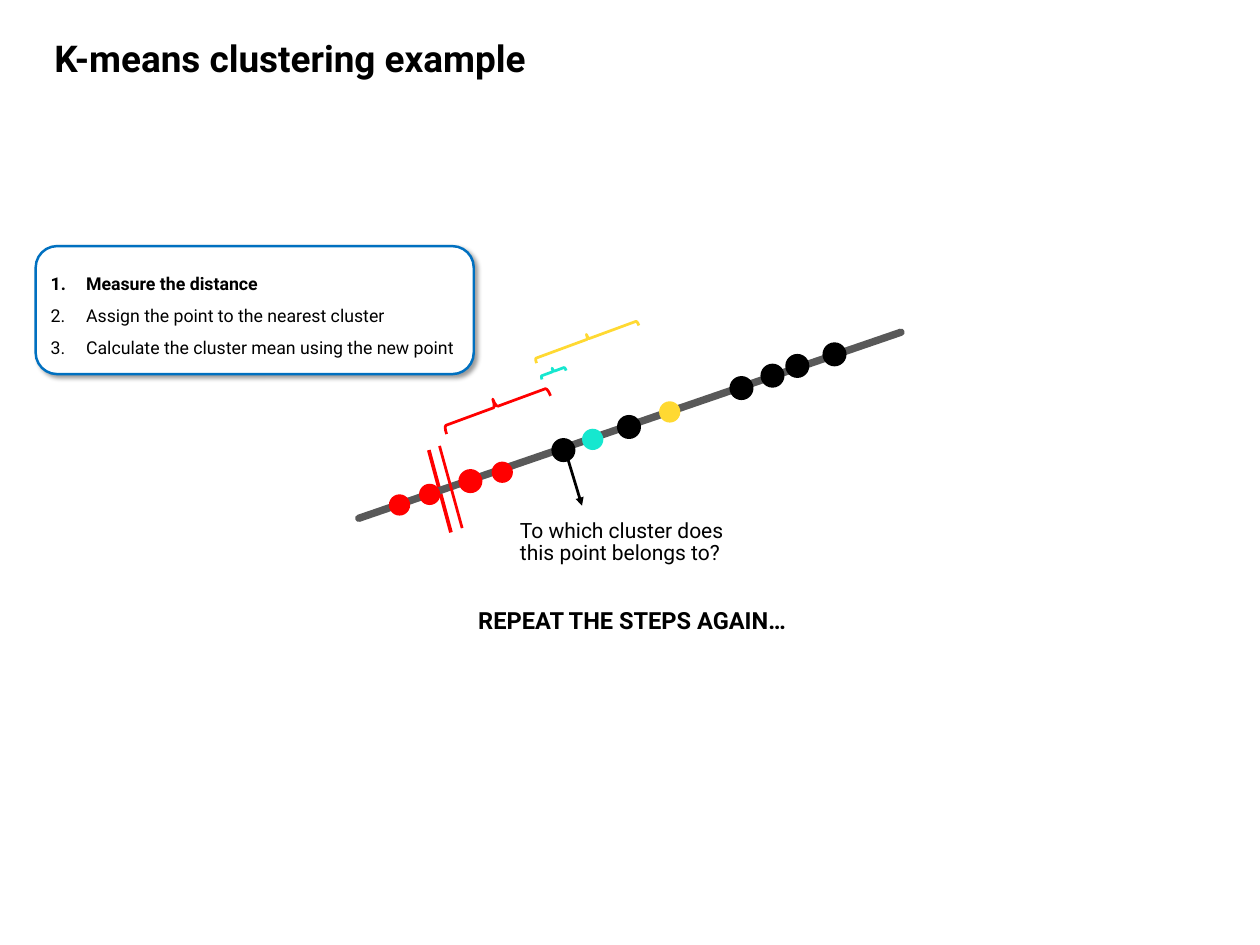
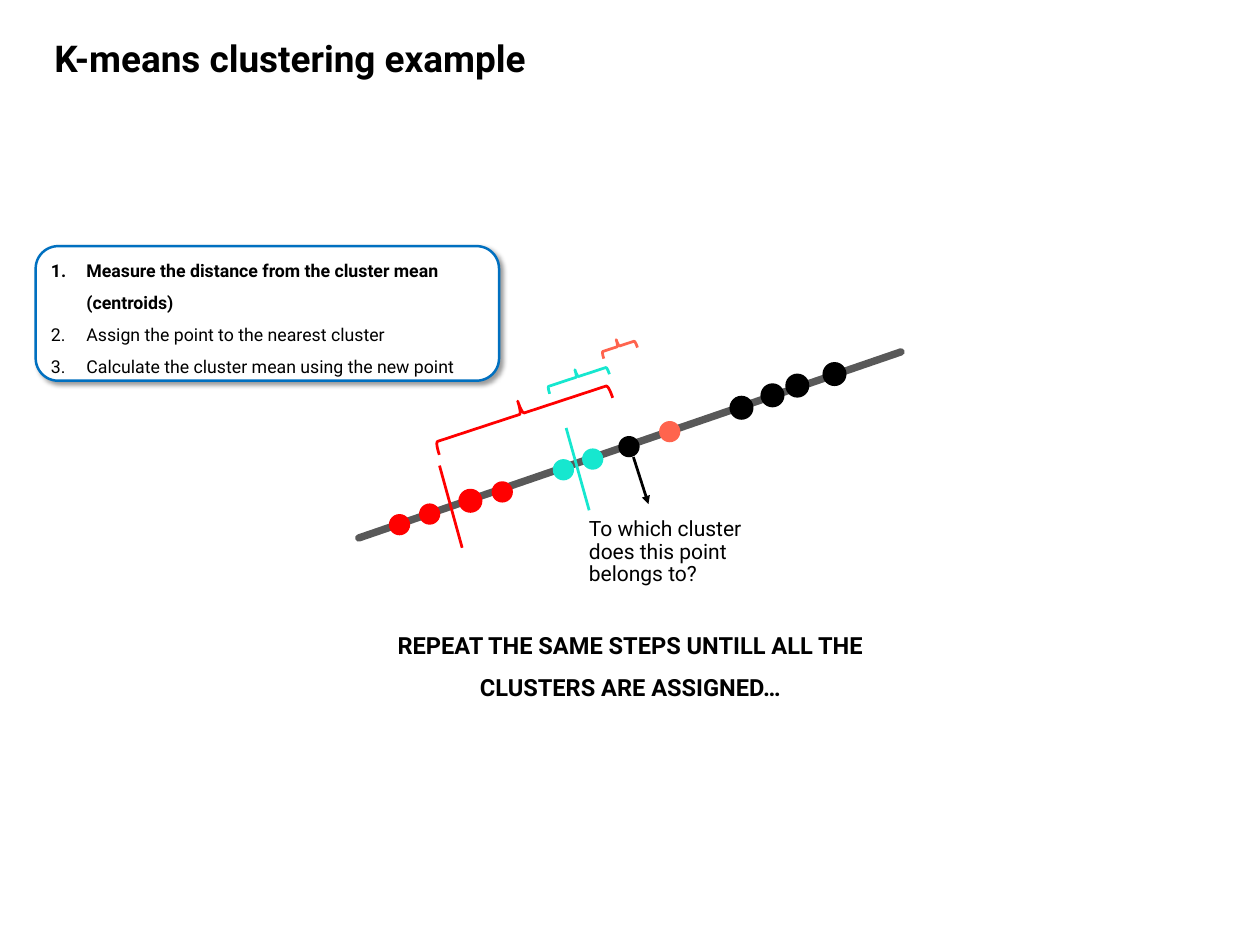
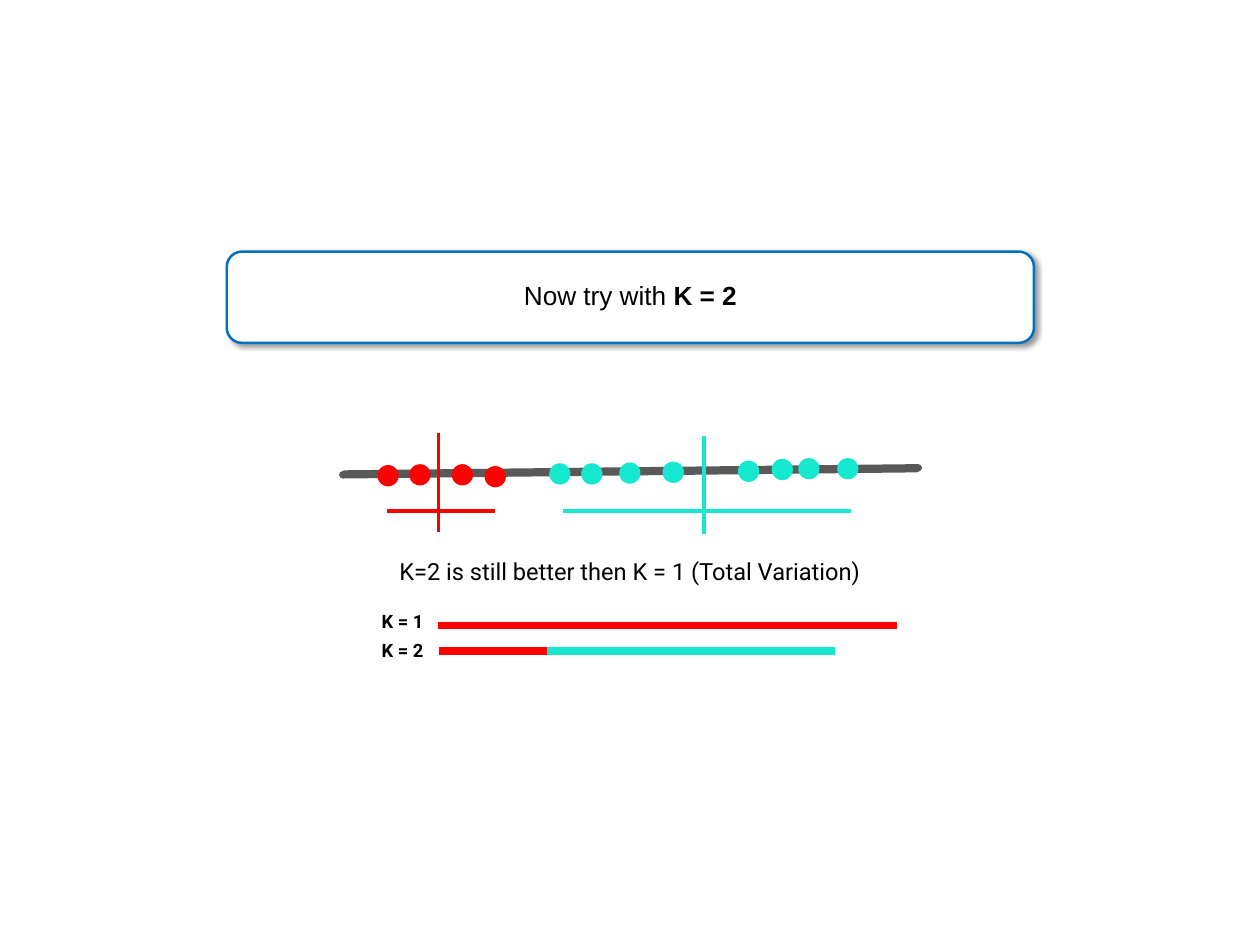
from lxml import etree
from pptx import Presentation
from pptx.dml.color import RGBColor
from pptx.enum import shapes as kinds, text as txt
from pptx.oxml.ns import qn
from pptx.util import Pt

BLACK, WHITE, GREY, BLUE = "000000", "FFFFFF", "595959", "0070C0"
RED, TEAL, YELLOW, CORAL = "FF0000", "16E7CF", "FFD932", "FF644E"
FONT = "Roboto"
DOT_SIZE = 17.28
THIN, THICK, BAR = 2.25, 3, 6
TITLE = "K-means clustering example"
QUESTION = "To which cluster does this point belongs to?"
POINTS = [
    (324.7, 410.4), (349.2, 401.8), (382.3, 391), (408.2, 383.8),
    (457.9, 365.8), (481.7, 357.1), (511.2, 347), (544.3, 334.8),
    (602.6, 315.4), (627.8, 305.3), (648, 297.4), (678.2, 288),
]
FLAT_POINTS = [
    (315.4, 386.6), (341.3, 385.9), (375.8, 385.9), (402.5, 387.4),
    (455, 385.2), (481, 385.2), (511.9, 384.5), (547.2, 383.8),
    (608.4, 383), (635.8, 381.6), (657.4, 380.9), (689, 380.9),
]


def color(hex_code):
    return RGBColor.from_string(hex_code)


def add_xml(parent, tag, **attributes):
    return etree.SubElement(parent, qn(tag), attributes)


def paint_line(line, hex_code, width):
    line.color.rgb = color(hex_code)
    line.width = Pt(width)


def write(frame, paragraphs, size, font=FONT, align=txt.PP_ALIGN.LEFT,
          spacing=0.9, anchor=txt.MSO_ANCHOR.TOP, numbered=False):
    frame.word_wrap = True
    frame.vertical_anchor = anchor
    for index, pieces in enumerate(paragraphs):
        paragraph = frame.add_paragraph() if index else frame.paragraphs[0]
        paragraph.alignment = align
        paragraph.line_spacing = spacing
        paragraph.space_before = Pt(0)
        if numbered:
            properties = paragraph._p.get_or_add_pPr()
            properties.set("marL", str(Pt(28.8)))
            properties.set("indent", str(-Pt(28.8)))
            add_xml(properties, "a:buFont", typeface="+mj-lt")
            add_xml(properties, "a:buAutoNum", type="arabicPeriod")
        for words, bold in pieces:
            run = paragraph.add_run()
            run.text = words
            run.font.name = font
            run.font.size = Pt(size)
            run.font.bold = bold
            run.font.color.rgb = color(BLACK)


def add_label(slide, words, left, top, width, height, size, bold=False, **style):
    label = slide.shapes.add_textbox(Pt(left), Pt(top), Pt(width), Pt(height))
    write(label.text_frame, [[(words, bold)]], size, **style)


def add_title(slide):
    title = slide.shapes.title
    title.left, title.top, title.width, title.height = Pt(37), Pt(29.5), Pt(528), Pt(40)
    write(title.text_frame, [[(TITLE, True)]], 30)


def add_card(slide, left, top, width, height, paragraphs, size, **style):
    card = slide.shapes.add_shape(kinds.MSO_SHAPE.ROUNDED_RECTANGLE,
                                  Pt(left), Pt(top), Pt(width), Pt(height))
    card.fill.solid()
    card.fill.fore_color.rgb = color(WHITE)
    paint_line(card.line, BLUE, 2)
    card.shadow.inherit = False
    effects = card._element.spPr.find(qn("a:effectLst"))
    shadow = add_xml(effects, "a:outerShdw", blurRad=str(Pt(4)), dist=str(Pt(3)),
                     dir="2700000", algn="tl", rotWithShape="0")
    add_xml(add_xml(shadow, "a:srgbClr", val=BLACK), "a:alpha", val="40000")
    write(card.text_frame, paragraphs, size, anchor=txt.MSO_ANCHOR.MIDDLE, **style)


def add_steps(slide, width, height, first_step):
    steps = [first_step, "Assign the point to the nearest cluster",
             "Calculate the cluster mean using the new point"]
    add_card(slide, 29, 200, width, height,
             [[(step, step == first_step)] for step in steps],
             14.4, spacing=1.5, numbered=True)


def add_line(slide, start, end, hex_code, width, arrow=False, rounded=False):
    line = slide.shapes.add_connector(kinds.MSO_CONNECTOR.STRAIGHT,
                                      *(Pt(value) for value in (*start, *end)))
    paint_line(line.line, hex_code, width)
    add_xml(line._element.spPr, "a:effectLst")
    outline = line.line._get_or_add_ln()
    if rounded:
        outline.set("cap", "rnd")
    if arrow:
        add_xml(outline, "a:tailEnd", type="triangle")


def add_dot(shapes, center, hex_code, outlined=False):
    x, y = (value - DOT_SIZE / 2 for value in center)
    dot = shapes.add_shape(kinds.MSO_SHAPE.OVAL, Pt(x), Pt(y), Pt(DOT_SIZE), Pt(DOT_SIZE))
    dot.shadow.inherit = False
    dot.fill.solid()
    dot.fill.fore_color.rgb = color(hex_code)
    if outlined:
        paint_line(dot.line, hex_code, THIN)
    else:
        dot.line.fill.background()


def add_brace(slide, left, top, width, height, rotation, hex_code, adjust=()):
    brace = slide.shapes.add_shape(kinds.MSO_SHAPE.LEFT_BRACE,
                                   Pt(left), Pt(top), Pt(width), Pt(height))
    brace.rotation = rotation
    brace.shadow.inherit = False
    brace.fill.background()
    paint_line(brace.line, hex_code, THIN)
    for index, value in enumerate(adjust):
        brace.adjustments[index] = value


def add_number_line(slide, shift, colors, outlined):
    add_line(slide, (291.6, 421.2 + shift), (732.2, 270 + shift), GREY, BAR, rounded=True)
    for index, ((x, y), hex_code) in enumerate(zip(POINTS, colors)):
        add_dot(slide.shapes, (x, y + shift), hex_code, index in outlined)
    add_line(slide, (357.2, 362.4 + shift), (375.6, 429.2 + shift), RED, THIN)


def build_first_distance(slide):
    add_title(slide)
    add_steps(slide, 356, 104, "Measure the distance")
    add_line(slide, (348.5, 365.8), (366.5, 432.7), RED, THICK)
    add_number_line(slide, 0, [RED] * 4 + [BLACK, TEAL, BLACK, YELLOW] + [BLACK] * 4,
                    {2, 4, 6, 8, 9, 10, 11})
    add_line(slide, (461.5, 373), (473, 411), BLACK, THIN, arrow=True)
    add_label(slide, QUESTION, 415.5, 419, 181.5, 44.6, 17.1)
    add_brace(slide, 396, 285.8, 13.7, 90, 69.8, RED, (0.14, 0.5))
    add_brace(slide, 446.4, 291.6, 5.8, 20.9, 69.8, TEAL, (0.13, 0.48))
    add_brace(slide, 472.3, 231.8, 7.9, 88.6, 69.8, YELLOW, (0.13, 0.48))
    add_label(slide, "REPEAT THE STEPS AGAIN…", 360.7, 491.8, 306, 28, 19.2,
              bold=True, align=txt.PP_ALIGN.CENTER)


def build_centroid_distance(slide):
    add_title(slide)
    add_steps(slide, 376.6, 109.4, "Measure the distance from the cluster mean (centroids)")
    add_number_line(slide, 16, [RED] * 4 + [TEAL, TEAL, BLACK, CORAL] + [BLACK] * 4,
                    {2, 8, 9, 10, 11})
    add_line(slide, (514.8, 371.5), (527, 409.7), BLACK, THIN, arrow=True)
    add_label(slide, QUESTION, 471.6, 417.6, 156.2, 63.4, 17.1)
    add_brace(slide, 413.3, 262.1, 21.6, 148.3, 71.8, RED)
    add_brace(slide, 463, 280.8, 12.2, 51.1, 71.8, TEAL)
    add_brace(slide, 496.8, 267.1, 11.5, 28.8, 71.8, CORAL)
    add_line(slide, (460.1, 347.8), (478.8, 414.7), TEAL, THIN)
    add_label(slide, "REPEAT THE SAME STEPS UNTILL ALL THE CLUSTERS ARE ASSIGNED…",
              295.2, 497.5, 434.2, 72.7, 19.2, bold=True,
              align=txt.PP_ALIGN.CENTER, spacing=1.5)


def build_two_clusters(slide):
    center = txt.PP_ALIGN.CENTER
    add_card(slide, 184.3, 204.5, 656, 74.2, [[("Now try with ", False), ("K = 2", True)]],
             21.3, font="Arial", align=center)
    for x, y in ((278.6, 385.9), (280, 385.2)):
        add_line(slide, (x, y), (x + 466.3, y - 5), GREY, BAR, rounded=True)
    for first, hex_code in ((0, RED), (4, TEAL), (8, TEAL)):
        cluster = slide.shapes.add_group_shape()
        for point in FLAT_POINTS[first:first + 4]:
            add_dot(cluster.shapes, point, hex_code)
    add_label(slide, "K=2 is still better then K = 1 (Total Variation)",
              309.6, 451.4, 404.6, 28, 19.2, align=center)
    for start, end, hex_code, width in (
        ((356.4, 352.1), (356.4, 432), RED, THICK),
        ((457.2, 415.4), (691.2, 415.4), TEAL, THICK),
        ((572.4, 354.2), (572.4, 434.2), TEAL, THICK),
        ((314.6, 415.4), (402.5, 415.4), RED, THICK),
        ((356.4, 529.2), (444.2, 529.2), RED, BAR),
        ((355.7, 508.3), (729.4, 508.3), RED, BAR),
        ((444.2, 529.2), (678.2, 529.2), TEAL, BAR),
    ):
        add_line(slide, start, end, hex_code, width)
    for words, top in (("K = 1", 494.6), ("K = 2", 517.7)):
        add_label(slide, words, 295.9, top, 62.6, 23.8, 14.9, bold=True, align=center)


def main():
    deck = Presentation()
    deck.slide_width, deck.slide_height = Pt(1024), Pt(768)
    title_only, blank = deck.slide_layouts[5], deck.slide_layouts[6]
    for layout, build in ((title_only, build_first_distance),
                          (title_only, build_centroid_distance),
                          (blank, build_two_clusters)):
        build(deck.slides.add_slide(layout))
    deck.save("out.pptx")


if __name__ == "__main__":
    main()
